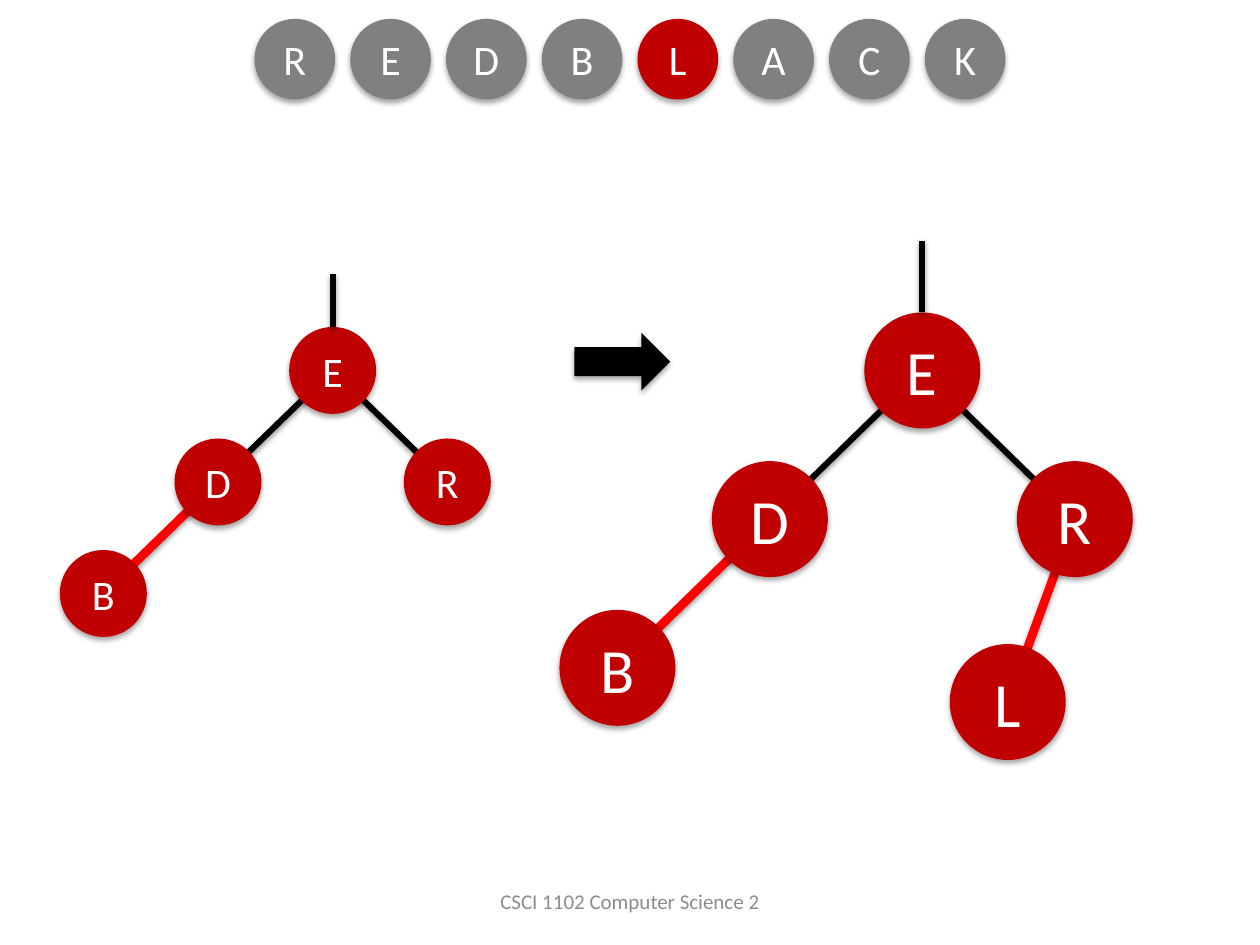
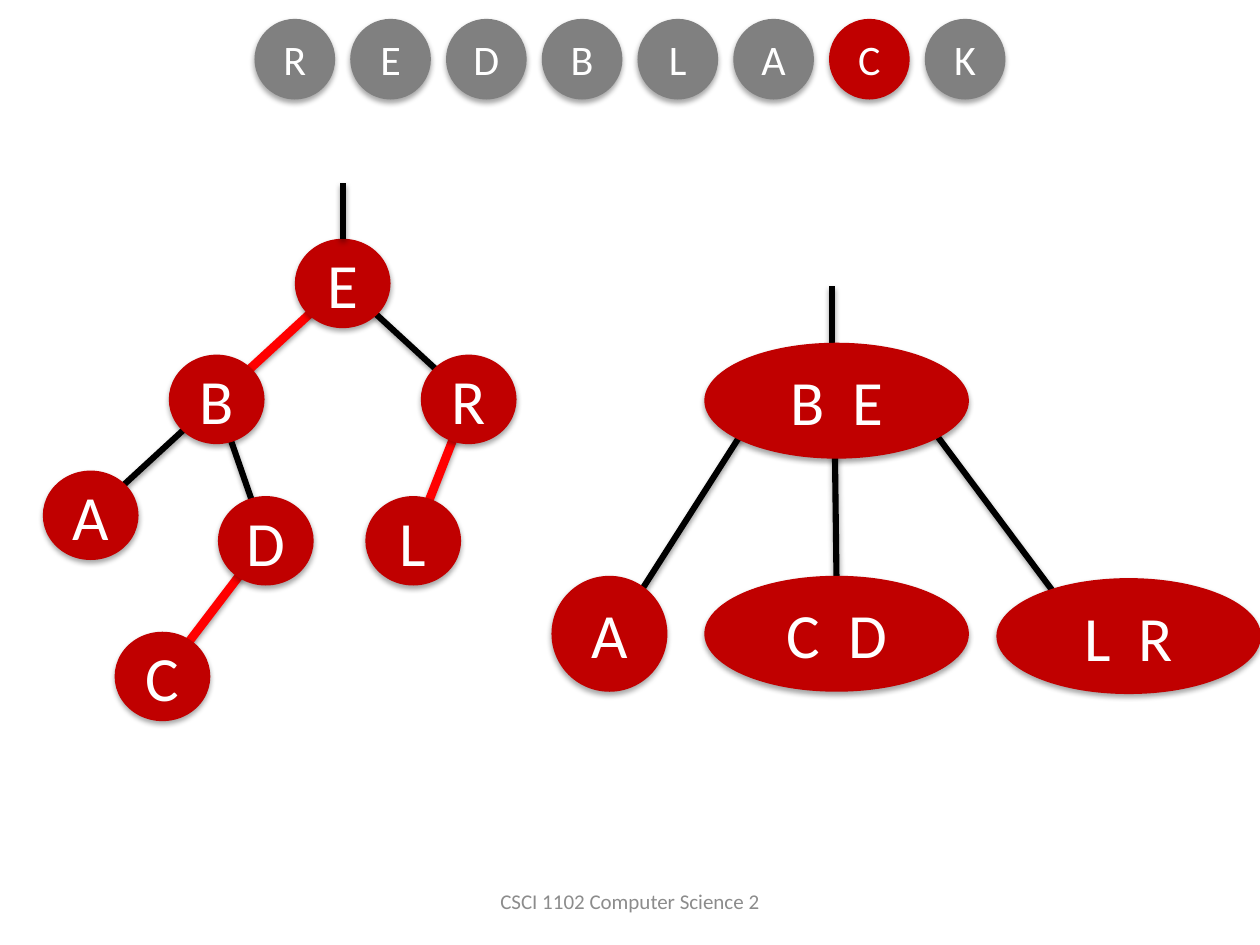
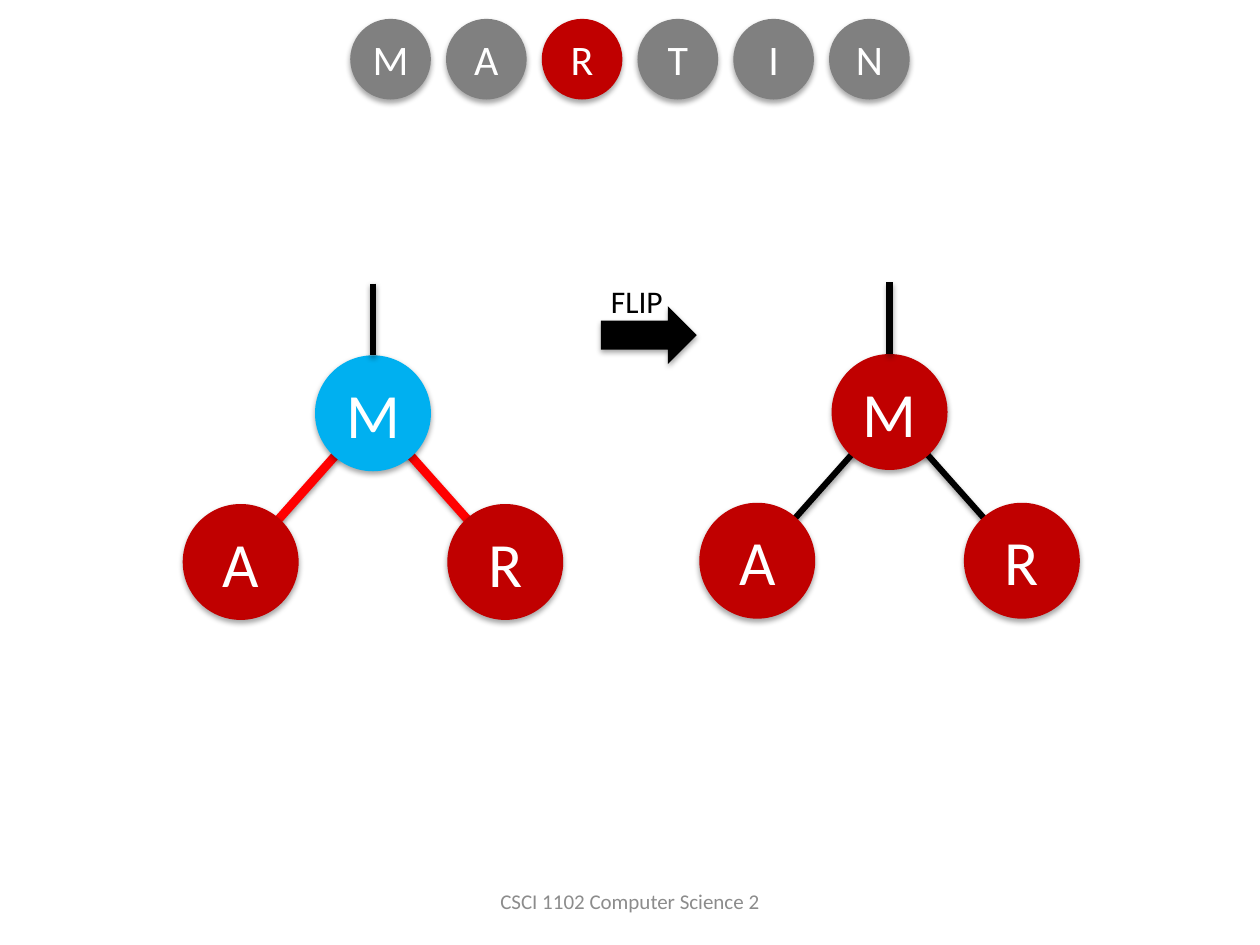
from dataclasses import dataclass

from lxml import etree
from pptx import Presentation
from pptx import util as u
from pptx.dml.color import RGBColor
from pptx.enum import shapes, text
from pptx.oxml import ns

WIDTH, HEIGHT = 10, 7.5
FONT = "Calibri"
BLACK = RGBColor(0x00, 0x00, 0x00)
WHITE = RGBColor(0xFF, 0xFF, 0xFF)
GRAY = RGBColor(0x80, 0x80, 0x80)
FOOTER_GRAY = RGBColor(0x8C, 0x8C, 0x8C)
NODE_RED = RGBColor(0xC0, 0x00, 0x00)
LINK_RED = RGBColor(0xFF, 0x00, 0x00)
BLUE = RGBColor(0x00, 0xB0, 0xF0)

LETTER_SIZE, LETTER_PITCH, LETTER_TOP = 0.64, 0.76, 0.15
ROUND = (0.92, 0.92)
SMALL = (0.69, 0.69)
FLAT = (0.76, 0.71)
WIDE = (2.1, 0.92)
ARROW = (0.76, 0.46)
LINK_WIDTH, RED_LINK_WIDTH = 3.5, 5


@dataclass
class Grid:
    """Node centres: origin plus the size of a column and a row."""
    left: float
    top: float
    column: float
    row: float

    def at(self, column, row):
        return self.left + column * self.column, self.top + row * self.row


def cast_shadow(properties, opacity, distance):
    effects = etree.SubElement(properties, ns.qn("a:effectLst"))
    shadow = etree.SubElement(effects, ns.qn("a:outerShdw"), blurRad="40000",
                              dist=str(distance), dir="5400000", rotWithShape="0")
    color = etree.SubElement(shadow, ns.qn("a:srgbClr"), val=str(BLACK))
    etree.SubElement(color, ns.qn("a:alpha"), val=str(opacity * 1000))


def write(box, words, size, color, align=text.PP_ALIGN.CENTER):
    """Write words; a space is doubled in width to part two keys."""
    para = box.text_frame.paragraphs[0]
    para.alignment = align
    parts = words.partition(" ") if len(words) == 3 else [words]
    for part in filter(None, parts):
        span = para.add_run()
        span.text = part
        for name, value in {"name": FONT, "size": u.Pt(size)}.items():
            setattr(span.font, name, value)
        span.font.color.rgb = color
        if part == " ":
            span._r.get_or_add_rPr().set("spc", str(size * 22))


def add_figure(page, kind, center, size, fill):
    (x, y), (width, height) = center, size
    figure = page.shapes.add_shape(kind, u.Inches(x - width / 2), u.Inches(y - height / 2),
                                   u.Inches(width), u.Inches(height))
    figure.fill.solid()
    figure.fill.fore_color.rgb = fill
    figure.line.fill.background()
    cast_shadow(figure._element.spPr, 35, 23000)
    return figure


def add_node(page, center, size, words, fill=NODE_RED, points=36):
    node = add_figure(page, shapes.MSO_SHAPE.OVAL, center, size, fill)
    frame = node.text_frame
    settings = {"margin_left": 0, "margin_right": 0, "margin_top": 0, "margin_bottom": 0,
                "vertical_anchor": text.MSO_ANCHOR.MIDDLE, "word_wrap": True}
    for name, value in settings.items():
        setattr(frame, name, value)
    write(node, words, points, WHITE)
    return node


def add_link(page, start, end, red=False):
    link = page.shapes.add_connector(shapes.MSO_CONNECTOR.STRAIGHT,
                                     *map(u.Inches, (*start, *end)))
    link.line.color.rgb = LINK_RED if red else BLACK
    link.line.width = u.Pt(RED_LINK_WIDTH if red else LINK_WIDTH)
    cast_shadow(link._element.spPr, 38, 20000)
    return link


def add_text(page, left, top, width, height, words, size, color, align, wrap):
    box = page.shapes.add_textbox(*map(u.Inches, (left, top, width, height)))
    box.text_frame.word_wrap = wrap
    write(box, words, size, color, align)
    return box


def add_word_strip(page, word, current):
    """Letters of the word centred across the top, the current one in red."""
    first = WIDTH / 2 - (len(word) - 1) * LETTER_PITCH / 2
    for index, letter in enumerate(word):
        center = first + index * LETTER_PITCH, LETTER_TOP + LETTER_SIZE / 2
        add_node(page, center, (LETTER_SIZE, LETTER_SIZE), letter,
                 NODE_RED if index == current else GRAY, 24)


def add_footer(page):
    width, height = 3.17, 0.4
    footer = add_text(page, (WIDTH - width) / 2, 6.95, width, height,
                      "CSCI 1102 Computer Science 2", 12, FOOTER_GRAY,
                      text.PP_ALIGN.CENTER, True)
    footer.text_frame.vertical_anchor = text.MSO_ANCHOR.MIDDLE


def add_tree(page, grid, size, nodes, black="", red="", stem=0.57, points=36, root_fill=NODE_RED):
    """Binary tree; the first node is the root, links are pairs of letters."""
    centers = {letter: grid.at(*cell) for letter, cell in nodes.items()}
    for pairs, is_red in ((red, True), (black, False)):
        for parent, child in pairs.split():
            add_link(page, centers[parent], centers[child], is_red)
    root, *others = centers
    for letter in others:
        add_node(page, centers[letter], size, letter, points=points)
    x, y = centers[root]
    root_node = add_node(page, (x, y), size, root, root_fill, points)
    root_top = y - size[1] / 2
    add_link(page, (x, root_top - stem), (x, root_top)).end_connect(root_node, 0)


def add_two_three_tree(page, grid):
    links = [((-0.32, 0), (-0.91, 0.92)), ((0.32, 0), (1.01, 0.92)),
             ((-0.01, 0), (0, 0.8)), ((-0.02, -0.49), (-0.02, -0.2))]
    nodes = [("A", (-0.98, 1), ROUND), ("B E", (0, 0), WIDE),
             ("C D", (0, 1), WIDE), ("L R", (1.26, 1.01), WIDE)]
    for start, end in links:
        add_link(page, grid.at(*start), grid.at(*end))
    for keys, cell, size in nodes:
        add_node(page, grid.at(*cell), size, keys)


def add_step_arrow(page, center, label=""):
    add_figure(page, shapes.MSO_SHAPE.RIGHT_ARROW, center, ARROW, BLACK)
    if label:
        x, y = center
        add_text(page, x - 0.4, y - 0.47, 0.62, 0.4, label, 18, BLACK,
                 text.PP_ALIGN.LEFT, False)


def build_insert_l(page):
    before = {"E": (2, 0), "D": (1, 1), "R": (3, 1), "B": (0, 2)}
    after = before | {"L": (2.56, 2.23)}
    add_tree(page, Grid(0.82, 2.94, 0.91, 0.885), SMALL, before, "ED ER", "DB", 0.42, 24)
    add_tree(page, Grid(4.9, 2.94, 1.21, 1.18), ROUND, after, "ED ER", "DB RL")
    add_step_arrow(page, (4.94, 2.87))


def build_insert_c(page):
    nodes = {"E": (2, 0), "B": (1, 1), "R": (3, 1), "A": (0, 2),
             "D": (1.39, 2.22), "L": (2.56, 2.22), "C": (0.57, 3.39)}
    add_tree(page, Grid(0.72, 2.25, 1, 0.92), FLAT, nodes, "ER BA BD", "EB RL DC", 0.44)
    add_two_three_tree(page, Grid(6.64, 3.18, 1.84, 1.85))


def build_flip(page):
    nodes = {"M": (1, 0), "A": (0, 1), "R": (2, 1)}
    add_tree(page, Grid(1.91, 3.28, 1.05, 1.18), ROUND, nodes, red="MA MR", root_fill=BLUE)
    add_tree(page, Grid(6.01, 3.27, 1.05, 1.18), ROUND, nodes, black="MA MR")
    add_step_arrow(page, (5.15, 2.66), "FLIP")


def main():
    deck = Presentation()
    deck.slide_width, deck.slide_height = u.Inches(WIDTH), u.Inches(HEIGHT)
    steps = [("REDBLACK", 4, build_insert_l), ("REDBLACK", 6, build_insert_c),
             ("MARTIN", 2, build_flip)]
    for word, current, build in steps:
        page = deck.slides.add_slide(deck.slide_layouts[6])
        add_footer(page)
        build(page)
        add_word_strip(page, word, current)
    deck.save("out.pptx")


if __name__ == "__main__":
    main()
